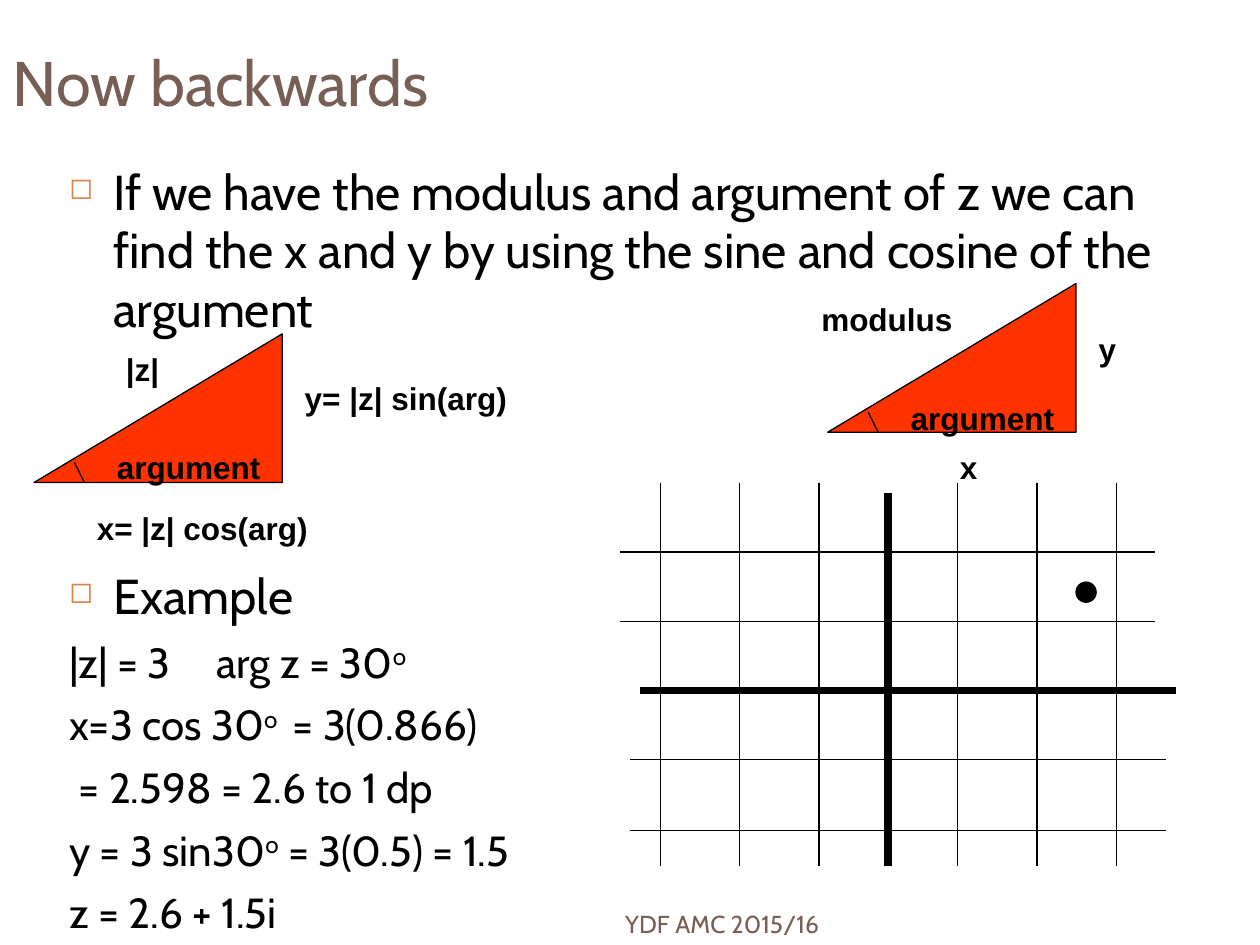
from pptx import Presentation
from pptx.dml.color import RGBColor
from pptx.enum.shapes import MSO_CONNECTOR, MSO_SHAPE
from pptx.enum.text import MSO_ANCHOR, PP_ALIGN
from pptx.oxml import parse_xml
from pptx.oxml.ns import nsdecls
from pptx.util import Inches, Pt

hue = RGBColor.from_string
BLACK, BROWN, RED, ORANGE = "000000", "775F55", "FF3300", "DD8047"
BODY = {"name": "Cabin", "size": Pt(28)}
MATH = {"name": "Cabin", "size": Pt(24)}
LABEL = {"name": "Arial", "size": Pt(18), "bold": True}

deck = Presentation()
deck.slide_width, deck.slide_height = Inches(10), Inches(7.5)
slide = deck.slides.add_slide(deck.slide_layouts.get_by_name("Title Only"))
shapes = slide.shapes


def write(par, text, style, tint=BLACK):
    """Fill a paragraph; text between carets is raised."""
    for i, part in enumerate(text.split("^")):
        if not part:
            continue
        run = par.add_run()
        run.text = part
        for key, value in style.items():
            setattr(run.font, key, value)
        run.font.color.rgb = hue(tint)
        if i % 2:
            run.font._element.set("baseline", "30000")


def rule(x1, y1, x2, y2, width=0.75):
    """Draw a straight black line without a shadow."""
    line = shapes.add_connector(MSO_CONNECTOR.STRAIGHT, Inches(x1), Inches(y1),
                                Inches(x2), Inches(y2))
    line.line.color.rgb = hue(BLACK)
    line.line.width = Pt(width)
    line._element.spPr.append(parse_xml(f"<a:effectLst {nsdecls('a')}/>"))


# Title
title = shapes.title
title.left, title.top = Inches(0), Inches(0.3)
title.width, title.height = Inches(9), Inches(0.69)
title.text_frame.vertical_anchor = MSO_ANCHOR.MIDDLE
head = title.text_frame.paragraphs[0]
head.alignment = PP_ALIGN.LEFT
write(head, "Now backwards", {"name": "Cabin", "size": Pt(36)}, BROWN)

# Footer
foot = shapes.add_textbox(Inches(0.67), Inches(7.13), Inches(5.93), Inches(0.4))
foot.text_frame.word_wrap = True
foot.text_frame.vertical_anchor = MSO_ANCHOR.MIDDLE
note = foot.text_frame.paragraphs[0]
note.alignment = PP_ALIGN.RIGHT
write(note, "YDF AMC 2015/16", {"name": "Cabin", "size": Pt(14)}, BROWN)

# Body: text, style, space before, bullet
lines = [
    ("If we have the modulus and argument of z we can find the x and y "
     "by using the sine and cosine of the argument", BODY, 7, True),
    ("Example", BODY, 130, True),
    ("|z| = 3\targ z = 30^o^", MATH, 7, False),
    ("x=3 cos 30^o ^ = 3(0.866)", MATH, 7, False),
    (" = 2.598 = 2.6 to 1 dp", MATH, 7, False),
    ("y = 3 sin30^o^ = 3(0.5) = 1.5", MATH, 7, False),
    ("z = 2.6 + 1.5i", MATH, 7, False),
]
body = shapes.add_textbox(Inches(0.45), Inches(1.23), Inches(9), Inches(6.27))
frame = body.text_frame
frame.word_wrap = True
for i, (text, style, gap, dot) in enumerate(lines):
    par = frame.add_paragraph() if i else frame.paragraphs[0]
    par.space_before = Pt(gap)
    props = par._element.get_or_add_pPr()
    if dot:
        props.set("marL", str(Inches(0.35)))
        props.set("indent", str(-Inches(0.35)))
        marks = [f'<a:buClr {nsdecls("a")}><a:srgbClr val="{ORANGE}"/></a:buClr>',
                 f'<a:buSzPct {nsdecls("a")} val="60000"/>',
                 f'<a:buChar {nsdecls("a")} char="◻"/>']
    else:
        marks = [f'<a:tabLst {nsdecls("a")}>'
                 f'<a:tab pos="{Inches(1.17)}" algn="l"/></a:tabLst>']
    for mark in marks:
        props.append(parse_xml(mark))
    write(par, text, style)

# Axes and grid
rule(7.05, 3.91, 7.05, 6.87, 4.5)
rule(5.08, 5.48, 9.33, 5.48, 4.5)
for start in (5.24, 7.6):
    for i in range(3):
        x = start + 0.63 * i
        rule(x, 3.83, x, 6.87)
for left, rows in ((4.92, (4.38, 4.93)), (5, (6.03, 6.59))):
    for y in rows:
        rule(left, y, left + 4.25, y)

# Triangles with their angle marks, and the plotted point
marks = [
    (MSO_SHAPE.RIGHT_TRIANGLE, 0.27, 2.65, 1.97, 1.18, RED),
    (MSO_SHAPE.RIGHT_TRIANGLE, 6.57, 2.25, 1.97, 1.18, RED),
    (MSO_SHAPE.OVAL, 8.54, 4.62, 0.16, 0.16, BLACK),
]
for kind, x, y, w, h, tint in marks:
    shape = shapes.add_shape(kind, Inches(x), Inches(y), Inches(w), Inches(h))
    shape.shadow.inherit = False
    shape.fill.solid()
    shape.fill.fore_color.rgb = hue(tint)
    shape.line.color.rgb = hue(BLACK)
    shape.line.width = Pt(0.75)
    if kind == MSO_SHAPE.RIGHT_TRIANGLE:
        shape._element.spPr.xfrm.set("flipH", "1")
        rule(x + 0.32, y + 1.02, x + 0.4, y + h)

# Triangle labels
labels = [
    ("x= |z| cos(arg)", 0.67, 3.99, 2.44),
    ("y= |z| sin(arg)", 2.32, 2.96, 1.89),
    ("|z|", 0.9, 2.73, 0.71),
    ("argument", 0.83, 3.51, 1.5),
    ("x", 7.52, 3.51, 0.39),
    ("y", 8.62, 2.57, 0.39),
    ("modulus", 6.42, 2.33, 1.5),
    ("argument", 7.13, 3.12, 1.5),
]
for text, x, y, w in labels:
    box = shapes.add_textbox(Inches(x), Inches(y), Inches(w), Inches(0.4))
    box.text_frame.word_wrap = True
    write(box.text_frame.paragraphs[0], text, LABEL)

deck.save("out.pptx")
